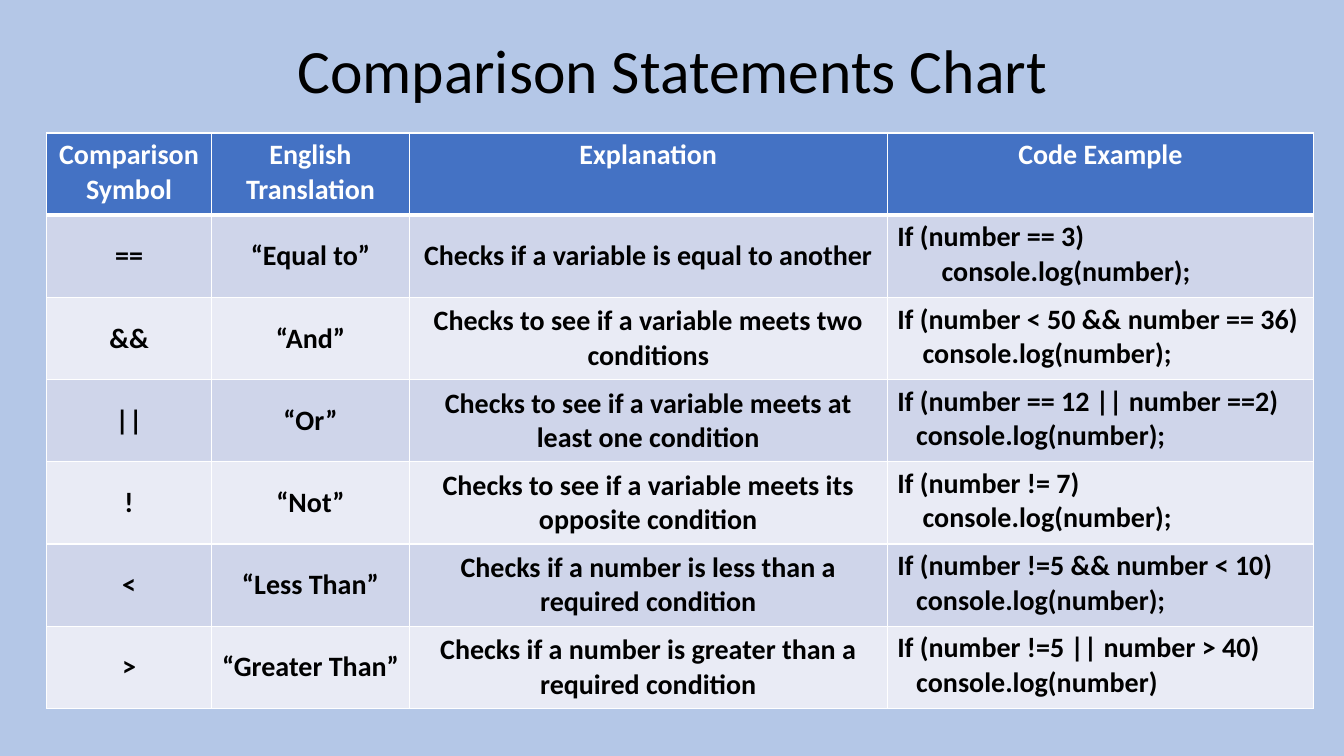
from dataclasses import dataclass

from lxml import etree
from pptx import Presentation, table as tb
from pptx.dml import color, fill as fl
from pptx.enum import text
from pptx.oxml import ns
from pptx.util import Inches, Pt

FONT = "Calibri"
BLACK, WHITE = "000000", "FFFFFF"
HEADER_BLUE = "4472C4"
BANDS = ("CFD5EA", "E9EBF5")
COLUMN_WIDTHS = (1.64, 1.96, 4.74, 4.23)
TABLE_HEIGHT = 5.71
HEADINGS = ("Comparison Symbol", "English Translation", "Explanation", "Code Example")


@dataclass(frozen=True)
class Comparison:
    symbol: str
    translation: str
    explanation: str
    code: str


COMPARISONS = (
    Comparison("==", "“Equal to”", "Checks if a variable is equal to another",
               "If (number == 3)\n       console.log(number);"),
    Comparison("&&", "“And”", "Checks to see if a variable meets two conditions",
               "If (number < 50 && number == 36)\n    console.log(number);"),
    Comparison("||", "“Or”", "Checks to see if a variable meets at least one condition",
               "If (number == 12 || number ==2)\n   console.log(number);"),
    Comparison("!", "“Not”", "Checks to see if a variable meets its opposite condition",
               "If (number != 7)\n    console.log(number);"),
    Comparison("<", "“Less Than”", "Checks if a number is less than a required condition",
               "If (number !=5 && number < 10)\n   console.log(number);"),
    Comparison(">", "“Greater Than”", "Checks if a number is greater than a required condition",
               "If (number !=5 || number > 40)\n   console.log(number)"),
)


def paint(fill: fl.FillFormat, shade: str) -> None:
    fill.solid()
    fill.fore_color.rgb = color.RGBColor.from_string(shade)


def format_text(frame: text, size: float, shade: str, bold: bool, centred: bool) -> None:
    for paragraph in frame.paragraphs:
        paragraph.alignment = text.PP_ALIGN.CENTER if centred else text.PP_ALIGN.LEFT
        paragraph.font.name = FONT
        paragraph.font.size = Pt(size)
        paragraph.font.bold = bold
        paint(paragraph.font.fill, shade)


def add_borders(cell: tb._Cell, top: float, bottom: float) -> None:
    properties = cell._tc.get_or_add_tcPr()
    for side, width in (("L", 1), ("R", 1), ("T", top), ("B", bottom)):
        border = etree.SubElement(properties, ns.qn(f"a:ln{side}"), w=str(Pt(width)))
        line_fill = etree.SubElement(border, ns.qn("a:solidFill"))
        etree.SubElement(line_fill, ns.qn("a:srgbClr"), val=WHITE)


def fill_cell(cell: tb._Cell, content: str, row: int, is_code: bool) -> None:
    is_heading = row == 0
    cell.text = content
    add_borders(cell, top=3 if row == 1 else 1, bottom=3 if is_heading else 1)
    paint(cell.fill, HEADER_BLUE if is_heading else BANDS[(row - 1) % 2])
    at_top = is_heading or is_code
    cell.vertical_anchor = text.MSO_ANCHOR.TOP if at_top else text.MSO_ANCHOR.MIDDLE
    format_text(cell.text_frame, 20, WHITE if is_heading else BLACK, True,
                is_heading or not is_code)


def main() -> None:
    deck = Presentation()
    deck.slide_width, deck.slide_height = Inches(13.33), Inches(7.5)
    slide = deck.slides.add_slide(deck.slide_layouts[5])
    paint(slide.background.fill, "B4C7E7")

    title = slide.shapes.title
    title.left, title.top = Inches(0.92), Inches(0)
    title.width, title.height = Inches(11.5), Inches(1.45)
    title.text_frame.text = "Comparison Statements Chart"
    title.text_frame.auto_size = text.MSO_AUTO_SIZE.NONE
    title.text_frame.vertical_anchor = text.MSO_ANCHOR.MIDDLE
    title.text_frame.paragraphs[0].line_spacing = 0.9
    format_text(title.text_frame, 44, BLACK, False, True)

    rows = [HEADINGS] + [
        (item.symbol, item.translation, item.explanation, item.code) for item in COMPARISONS
    ]
    chart = slide.shapes.add_table(
        len(rows), len(HEADINGS), Inches(0.46), Inches(1.32),
        Inches(sum(COLUMN_WIDTHS)), Inches(TABLE_HEIGHT),
    ).table
    for column, width in zip(chart.columns, COLUMN_WIDTHS):
        column.width = Inches(width)
    for row, contents in enumerate(rows):
        for column, content in enumerate(contents):
            fill_cell(chart.cell(row, column), content, row, column == len(HEADINGS) - 1)

    deck.save("out.pptx")


if __name__ == "__main__":
    main()
